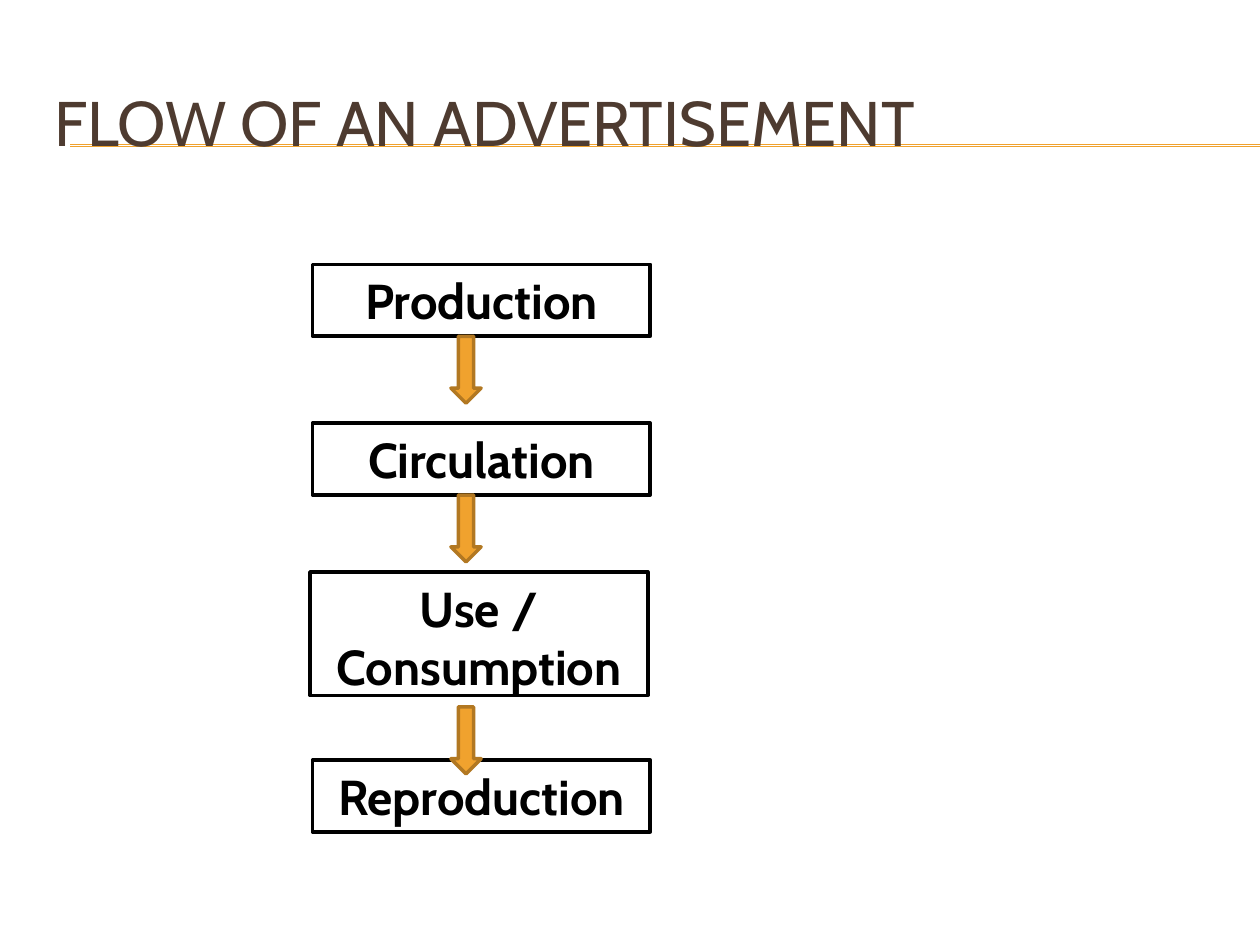
from typing import NamedTuple

from lxml.etree import SubElement
from pptx import Presentation
from pptx.dml.color import RGBColor
from pptx.enum.shapes import MSO_CONNECTOR, MSO_SHAPE
from pptx.enum.text import MSO_ANCHOR, PP_ALIGN
from pptx.oxml.ns import qn
from pptx.util import Cm, Pt

FONT = "Cabin"
BROWN = RGBColor(0x4E, 0x3B, 0x30)
GOLD = RGBColor(0xF0, 0xA2, 0x2E)
OCHRE = RGBColor(0xB2, 0x78, 0x22)
BLACK = RGBColor(0, 0, 0)
WHITE = RGBColor(255, 255, 255)


class Step(NamedTuple):
    text: str
    top: float
    left: float = 6.3
    height: float = 1.45


STEPS = [
    Step("Production", 5.33),
    Step("Circulation", 8.53),
    Step("Use / Consumption", 11.53, 6.25, 2.49),
    Step("Reproduction", 15.32),
]
ARROWS = [6.78, 9.98, 14.25]
RULES = [2.92, 2.95]


def add_rule(slide, y: float) -> None:
    rule = slide.shapes.add_connector(
        MSO_CONNECTOR.STRAIGHT, Cm(1.42), Cm(y), Cm(25.4), Cm(y))
    rule.line.color.rgb = GOLD
    rule.line.width = Pt(0.75)
    SubElement(rule._element.spPr, qn("a:effectLst"))


def add_title(slide, text: str) -> None:
    title = slide.shapes.title
    title.left, title.top = Cm(0.84), Cm(1.27)
    title.width, title.height = Cm(24.13), Cm(2.34)
    frame = title.text_frame
    frame.text = text
    frame.vertical_anchor = MSO_ANCHOR.MIDDLE
    par = frame.paragraphs[0]
    par.alignment = PP_ALIGN.LEFT
    par.font.name, par.font.size = FONT, Pt(36)
    par.font.color.rgb = BROWN


def add_block(slide, kind: MSO_SHAPE, box: tuple, fill: RGBColor, edge: RGBColor):
    """Add a flat shape; box is left, top, width, height in cm."""
    block = slide.shapes.add_shape(kind, *map(Cm, box))
    block.shadow.inherit = False
    block.fill.solid()
    block.fill.fore_color.rgb = fill
    block.line.color.rgb = edge
    block.line.width = Pt(2)
    return block


def add_step(slide, step: Step) -> None:
    box = (step.left, step.top, 6.81, step.height)
    frame = add_block(slide, MSO_SHAPE.RECTANGLE, box, WHITE, BLACK).text_frame
    frame.text = step.text
    frame.word_wrap = True
    frame.vertical_anchor = MSO_ANCHOR.TOP
    par = frame.paragraphs[0]
    par.alignment = PP_ALIGN.CENTER
    par.font.name, par.font.size, par.font.bold = FONT, Pt(28), True
    par.font.color.rgb = BLACK


def main() -> None:
    deck = Presentation()
    deck.slide_width, deck.slide_height = Cm(25.4), Cm(19.05)
    slide = deck.slides.add_slide(deck.slide_layouts[5])
    for y in RULES:
        add_rule(slide, y)
    add_title(slide, "FLOW OF AN ADVERTISEMENT")
    # Bring the title in front of the rules
    slide.shapes._spTree.append(slide.shapes.title._element)
    for step in STEPS:
        add_step(slide, step)
    for top in ARROWS:
        add_block(slide, MSO_SHAPE.DOWN_ARROW, (9.09, top, 0.61, 1.35), GOLD, OCHRE)
    deck.save("out.pptx")


if __name__ == "__main__":
    main()
